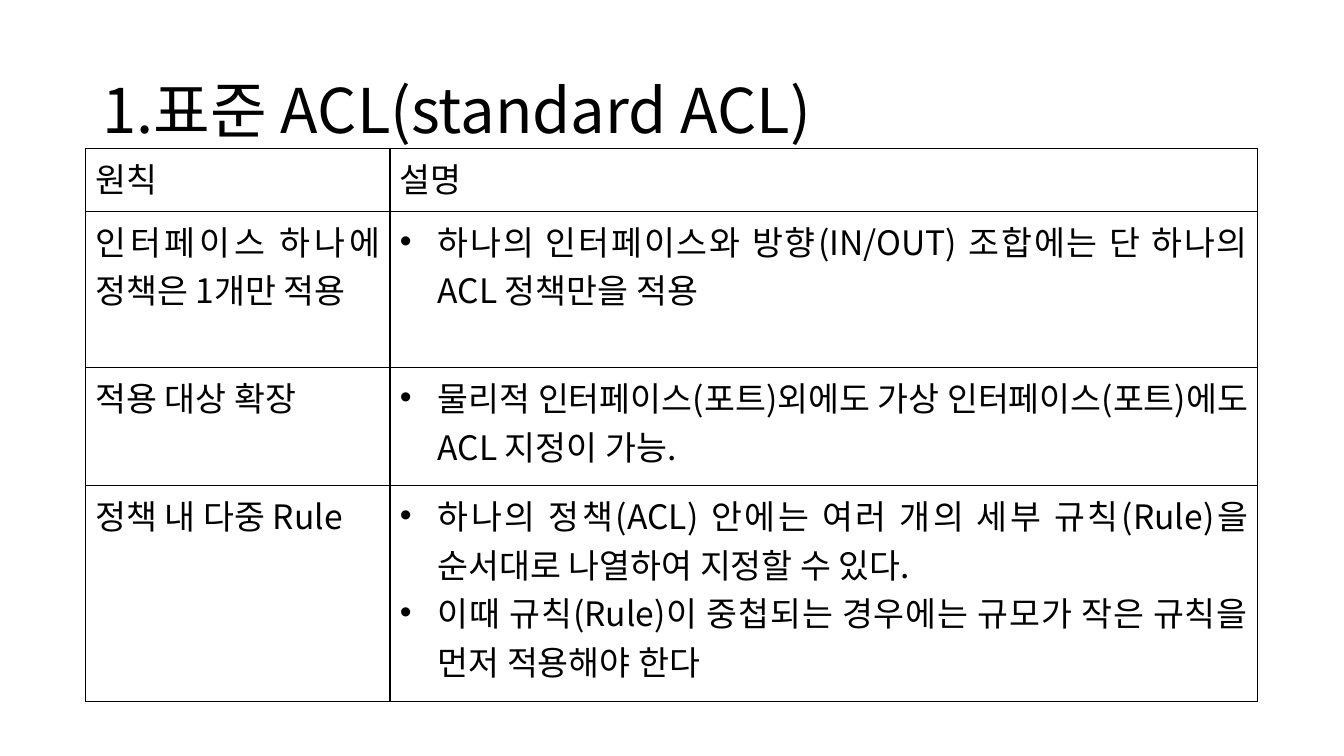
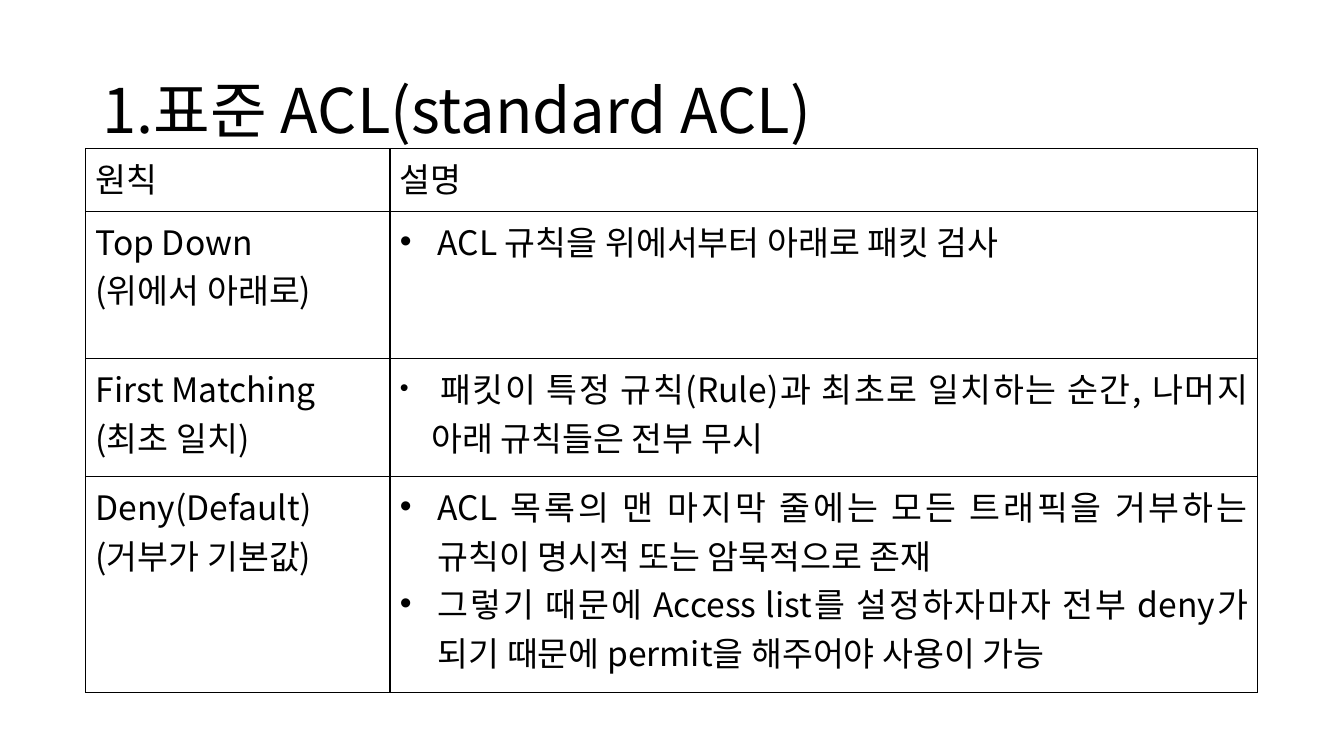
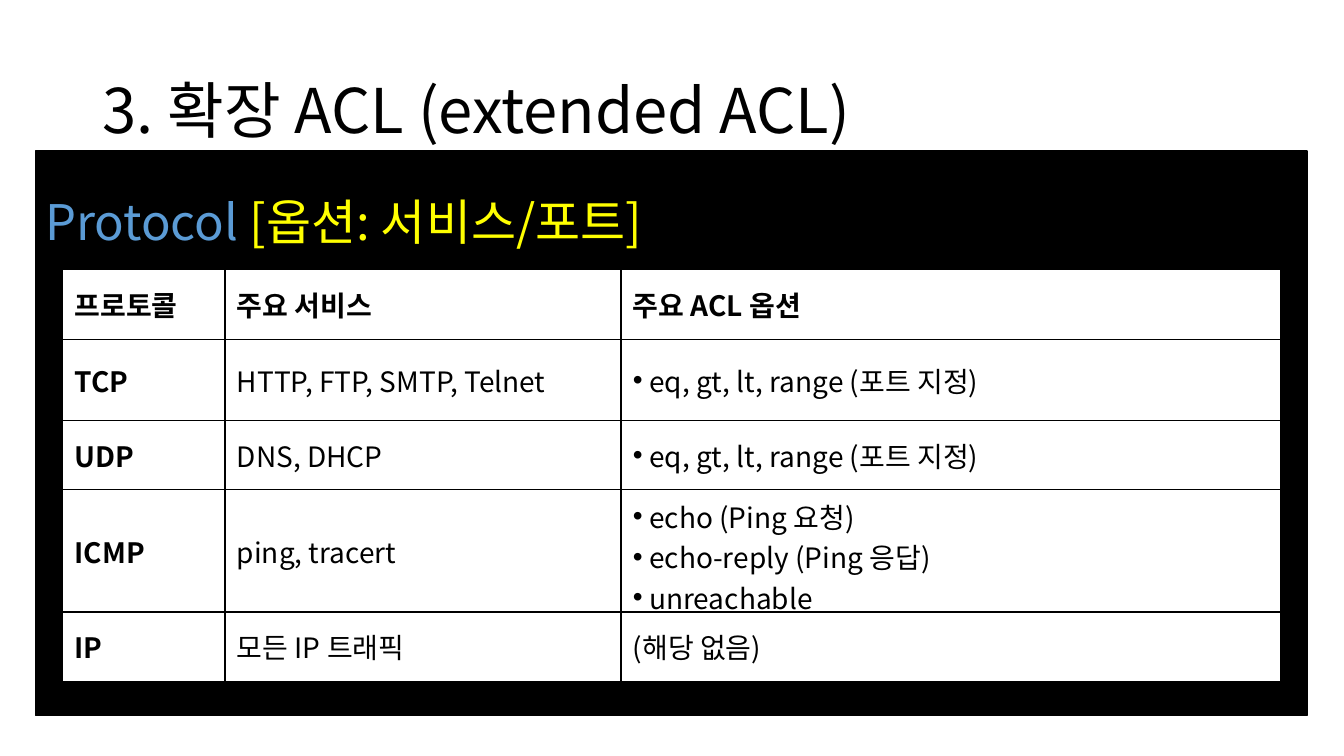
from lxml import etree
from pptx import Presentation
from pptx.dml.color import RGBColor
from pptx.enum import shapes, text
from pptx.oxml import ns
from pptx.util import Cm, Pt

FONT = "Noto Sans CJK KR"
BLACK, WHITE, BLUE, GOLD = "000000", "FFFFFF", "5B9BD5", "FFFF00"
JUST, LEFT = text.PP_ALIGN.JUSTIFY, text.PP_ALIGN.LEFT
MID, TOP = text.MSO_ANCHOR.MIDDLE, text.MSO_ANCHOR.TOP

RULES = dict(at=(2.16, 3.74), cols=(7.67, 21.87), size=24, just=True,
             pads=(0.25, 0.13), anchor=TOP, hang=0.95, bold=False)
PORTS = dict(at=(1.58, 6.8), cols=(4.09, 9.98, 16.61), size=20, just=False,
             pads=(0.3, 0.15), anchor=MID, hang=0.41, bold=True)
HEAD = (["원칙"], ["설명"])

SLIDES = [
    dict(title="1.표준 ACL(standard ACL)", look=RULES, rows=(1.58, 3.94, 2.97, 5.44), cells=[
        HEAD,
        (["인터페이스 하나에 정책은 1개만 적용"],
         ["• 하나의 인터페이스와 방향(IN/OUT) 조합에는 단 하나의 ACL 정책만을 적용"]),
        (["적용 대상 확장"],
         ["• 물리적 인터페이스(포트)외에도 가상 인터페이스(포트)에도 ACL 지정이 가능."]),
        (["정책 내 다중 Rule"],
         ["• 하나의 정책(ACL) 안에는 여러 개의 세부 규칙(Rule)을 순서대로 나열하여 지정할 수 있다.",
          "• 이때 규칙(Rule)이 중첩되는 경우에는 규모가 작은 규칙을 먼저 적용해야 한다"]),
    ]),
    dict(title="1.표준 ACL(standard ACL)", look=RULES, rows=(1.58, 3.71, 2.97, 5.44), cells=[
        HEAD,
        (["Top Down", "(위에서 아래로)"],
         ["• ACL 규칙을 위에서부터 아래로 패킷 검사"]),
        (["First Matching", "(최초 일치)"],
         ["· 패킷이 특정 규칙(Rule)과 최초로 일치하는 순간, 나머지 아래 규칙들은 전부 무시"]),
        (["Deny(Default)", "(거부가 기본값)"],
         ["• ACL 목록의 맨 마지막 줄에는 모든 트래픽을 거부하는 규칙이 명시적 또는 암묵적으로 존재",
          "• 그렇기 때문에 Access list를 설정하자마자 전부 deny가 되기 때문에 permit을 해주어야 사용이 가능"]),
    ]),
    dict(title="3. 확장 ACL (extended ACL)", look=PORTS, rows=(1.75, 2.04, 1.75, 3.08, 1.75),
         panel=[("Protocol", BLUE), (" ", BLUE), ("[옵션: 서비스/포트]", GOLD)], cells=[
        (["프로토콜"], ["주요 서비스"], ["주요 ACL 옵션"]),
        (["TCP"], ["HTTP, FTP, SMTP, Telnet"], ["• eq, gt, lt, range (포트 지정)"]),
        (["UDP"], ["DNS, DHCP"], ["• eq, gt, lt, range (포트 지정)"]),
        (["ICMP"], ["ping, tracert"],
         ["• echo (Ping 요청)", "• echo-reply (Ping 응답)", "• unreachable"]),
        (["IP"], ["모든 IP 트래픽"], ["(해당 없음)"]),
    ]),
]


def rgb(code):
    return RGBColor.from_string(code)


def add_run(para, words, size, color=BLACK, bold=False):
    run = para.add_run()
    run.text = words
    font = run.font
    font.size, font.name, font.bold = Pt(size), FONT, bold
    font.color.rgb = rgb(color)
    etree.SubElement(run._r.rPr, ns.qn("a:ea"), typeface=FONT)


def add_box(slide, at, anchor=TOP):
    frame = slide.shapes.add_textbox(*map(Cm, at)).text_frame
    frame.word_wrap = True
    frame.vertical_anchor = anchor
    return frame.paragraphs[0]


def add_dot(para, hang):
    props = para._p.get_or_add_pPr()
    props.set("marL", str(Cm(hang)))
    props.set("indent", str(-Cm(hang)))
    etree.SubElement(props, ns.qn("a:buFont"), typeface="Arial")
    etree.SubElement(props, ns.qn("a:buChar"), char="•")


def add_edges(cell):
    props = cell._tc.get_or_add_tcPr()
    for spot, side in enumerate(("lnL", "lnR", "lnT", "lnB")):
        line = etree.Element(ns.qn("a:" + side), w=str(Pt(1)))
        fill = etree.SubElement(line, ns.qn("a:solidFill"))
        etree.SubElement(fill, ns.qn("a:srgbClr"), val=BLACK)
        props.insert(spot, line)


def fill_cell(cell, lines, look, bold):
    cell.fill.solid()
    cell.fill.fore_color.rgb = rgb(WHITE)
    add_edges(cell)
    side, edge = map(Cm, look["pads"])
    cell.margin_left = cell.margin_right = side
    cell.margin_top = cell.margin_bottom = edge
    cell.vertical_anchor = look["anchor"]
    frame = cell.text_frame
    for num, line in enumerate(lines):
        para = frame.add_paragraph() if num else frame.paragraphs[0]
        para.alignment = JUST if look["just"] else LEFT
        small = line.startswith("· ")
        if small or line.startswith("• "):
            add_dot(para, 0.79 if small else look["hang"])
            line = line[2:]
        if small:
            add_run(para, " ", 18)
        add_run(para, line, look["size"], bold=bold)


def add_grid(slide, cells, rows, look):
    cols = look["cols"]
    place = (*look["at"], sum(cols), sum(rows))
    grid = slide.shapes.add_table(len(rows), len(cols), *map(Cm, place)).table
    grid.first_row = grid.horz_banding = False
    for col, width in zip(grid.columns, cols):
        col.width = Cm(width)
    for r, (row, height) in enumerate(zip(grid.rows, rows)):
        row.height = Cm(height)
        for c, lines in enumerate(cells[r]):
            fill_cell(grid.cell(r, c), lines, look, look["bold"] and 0 in (r, c))


def add_panel(slide, runs):
    place = map(Cm, (0.89, 3.81, 32.05, 14.22))
    panel = slide.shapes.add_shape(shapes.MSO_SHAPE.RECTANGLE, *place)
    panel.shadow.inherit = False
    panel.fill.solid()
    panel.fill.fore_color.rgb = panel.line.color.rgb = rgb(BLACK)
    panel.line.width = Pt(1)
    para = add_box(slide, (0.89, 4.7, 22.81, 1.75))
    for words, color in runs:
        add_run(para, words, 35, color)


def main():
    deck = Presentation()
    deck.slide_width, deck.slide_height = Cm(33.87), Cm(19.05)
    for page in SLIDES:
        slide = deck.slides.add_slide(deck.slide_layouts[6])
        title = add_box(slide, (2.33, 1.01, 29.21, 3.68), MID)
        title.line_spacing = 0.9
        add_run(title, page["title"], 44)
        if "panel" in page:
            add_panel(slide, page["panel"])
        add_grid(slide, page["cells"], page["rows"], page["look"])
    deck.save("out.pptx")


if __name__ == "__main__":
    main()
